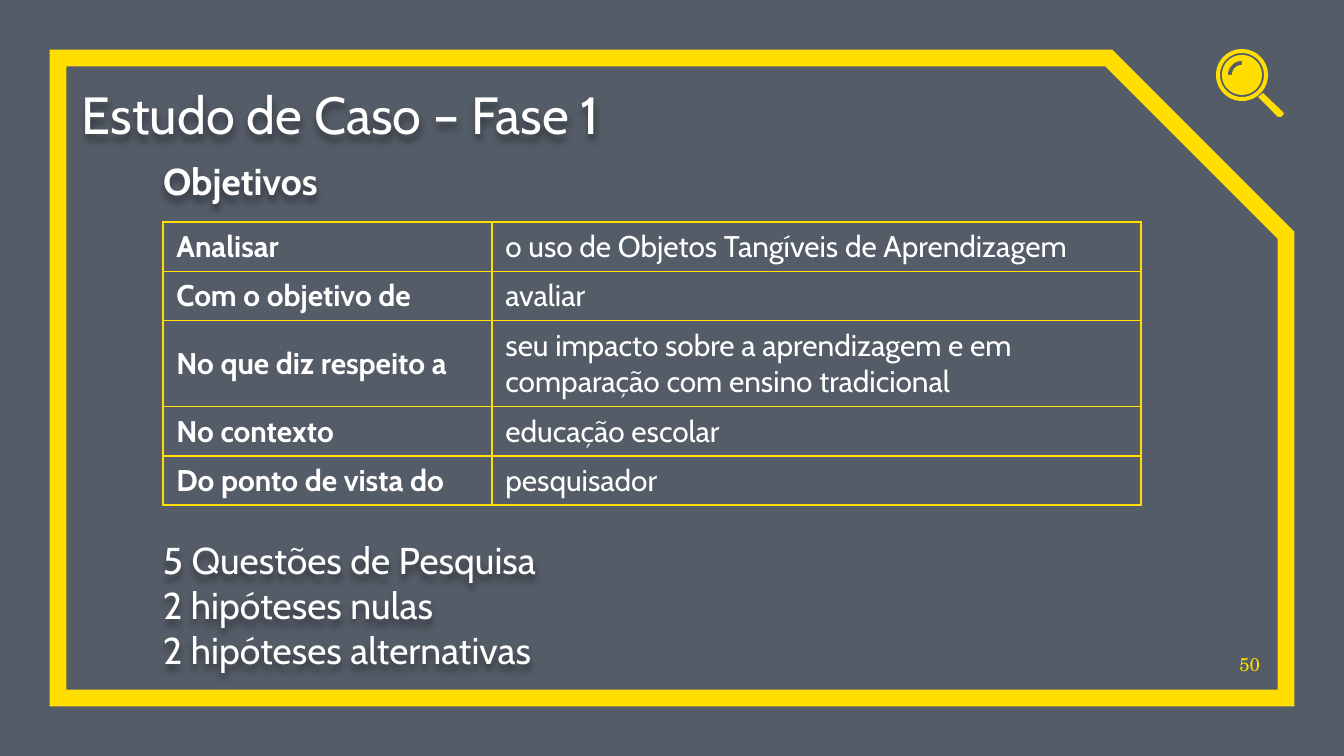
from math import cos, radians, sin

from lxml.etree import SubElement
from pptx import Presentation
from pptx.dml.color import RGBColor
from pptx.enum.shapes import MSO_SHAPE
from pptx.enum.text import MSO_ANCHOR, PP_ALIGN
from pptx.oxml import parse_xml
from pptx.oxml.ns import nsdecls, qn
from pptx.util import Pt

PX = 914400 / 134.4
YELLOW, WHITE, NAVY = "FFDE00", "FFFFFF", "040F20"
BODY = {"name": "Cabin", "size": Pt(20), "bold": False}
TITLE = {**BODY, "size": Pt(28)}
HEADING = {**BODY, "bold": True}
CELL = {**BODY, "size": Pt(16)}
NUMBER = {"name": "TeX Gyre Schola", "size": Pt(10)}
SHADOW = (
    f'<a:effectLst {nsdecls("a")}><a:outerShdw blurRad="50800" dist="38100" '
    'dir="5400000" algn="t" rotWithShape="0"><a:srgbClr val="000000">'
    '<a:alpha val="40000"/></a:srgbClr></a:outerShdw></a:effectLst>'
)
GOALS = [
    ("Analisar", "o uso de Objetos Tangíveis de Aprendizagem"),
    ("Com o objetivo de", "avaliar"),
    ("No que diz respeito a",
     "seu impacto sobre a aprendizagem e em comparação com ensino tradicional"),
    ("No contexto", "educação escolar"),
    ("Do ponto de vista do", "pesquisador"),
]
FINDINGS = ["5 Questões de Pesquisa", "2 hipóteses nulas", "2 hipóteses alternativas"]


def px(*values):
    return [round(v * PX) for v in values]


def rgb(color):
    return RGBColor.from_string(color)


def arc(cx, cy, radius, start=0, end=360, step=6):
    angles = [radians(a) for a in range(start, end + (step if end > start else -step),
                                        step if end > start else -step)]
    return [(cx + radius * cos(a), cy + radius * sin(a)) for a in angles]


class Deck:
    """Holds the style and the current slide, with a method per kind of element."""

    def __init__(self, width, height):
        self.prs = Presentation()
        self.prs.slide_width, self.prs.slide_height = px(width, height)
        self.s = self.prs.slides.add_slide(self.prs.slide_layouts[6])

    def style(self, p, text, fmt, color):
        r = p.add_run()
        r.text = text
        for key, value in fmt.items():
            setattr(r.font, key, value)
        r.font.color.rgb = rgb(color)

    def shape(self, kind, box):
        sp = self.s.shapes.add_shape(kind, *px(*box))
        sp.shadow.inherit = False
        return sp

    def overlay(self, box, color, alpha):
        sp = self.shape(MSO_SHAPE.RECTANGLE, box)
        sp.fill.solid()
        sp.fill.fore_color.rgb = rgb(color)
        clr = sp.fill._xPr.find(".//" + qn("a:srgbClr"))
        SubElement(clr, qn("a:alpha"), val=str(alpha * 1000))
        sp.line.fill.background()

    def frame(self, box, snip, color, width):
        sp = self.shape(MSO_SHAPE.SNIP_1_RECTANGLE, box)
        sp.adjustments[0] = snip
        sp.fill.background()
        sp.line.color.rgb = rgb(color)
        sp.line.width = Pt(width)
        SubElement(sp.line._ln, qn("a:miter"), lim="800000")

    def text(self, box, lines, fmt, color=WHITE, align=PP_ALIGN.LEFT, shadow=True):
        sp = self.s.shapes.add_textbox(*px(*box))
        tf = sp.text_frame
        layout = {"word_wrap": True, "vertical_anchor": MSO_ANCHOR.BOTTOM,
                  "margin_left": 0, "margin_right": 0,
                  "margin_top": 0, "margin_bottom": 0}
        for key, value in layout.items():
            setattr(tf, key, value)
        for i, line in enumerate(lines):
            p = tf.add_paragraph() if i else tf.paragraphs[0]
            p.alignment = align
            self.style(p, line, fmt, color)
        if shadow:
            sp._element.spPr.append(parse_xml(SHADOW))

    def icon(self, parts, color):
        group = self.s.shapes.add_group_shape()
        for contours in parts:
            first, *rest = [[(x * 100, y * 100) for x, y in c] for c in contours]
            fb = group.shapes.build_freeform(*first[0], scale=PX / 100)
            fb.add_line_segments(first[1:], close=True)
            for contour in rest:
                fb.move_to(*contour[0])
                fb.add_line_segments(contour[1:], close=True)
            sp = fb.convert_to_shape()
            sp.shadow.inherit = False
            sp.fill.solid()
            sp.fill.fore_color.rgb = rgb(color)
            sp.line.fill.background()

    def border(self, cell, color):
        for side in ("lnL", "lnR", "lnT", "lnB"):
            ln = SubElement(cell._tc.get_or_add_tcPr(), qn(f"a:{side}"), w=str(Pt(1)))
            fill = SubElement(ln, qn("a:solidFill"))
            SubElement(fill, qn("a:srgbClr"), val=color)

    def table(self, left, top, widths, heights, rows):
        box = px(left, top, sum(widths), sum(heights))
        table = self.s.shapes.add_table(len(rows), len(widths), *box).table
        table.first_row = table.horz_banding = False
        for col, width in zip(table.columns, px(*widths)):
            col.width = width
        for row, height, texts in zip(table.rows, px(*heights), rows):
            row.height = height
            for i, (cell, text) in enumerate(zip(row.cells, texts)):
                self.border(cell, YELLOW)
                cell.fill.background()
                cell.vertical_anchor = MSO_ANCHOR.MIDDLE
                self.style(cell.text_frame.paragraphs[0], text,
                           {**CELL, "bold": i == 0}, WHITE)


def main():
    deck = Deck(1344, 756)
    deck.overlay((0, 0, 1344, 756), NAVY, 68)
    deck.frame((58, 58, 1228, 640), 0.277, YELLOW, 9)
    deck.text((1224, 637, 36, 38), ["50"], NUMBER, YELLOW, PP_ALIGN.RIGHT, False)
    deck.text((82, 74, 988, 71), ["Estudo de Caso – Fase 1"], TITLE)

    center = (1242, 75)
    ring = [arc(*center, 26), arc(*center, 22)]
    glint = arc(*center, 14, 180, 270) + arc(*center, 10, 270, 180)
    lens = [arc(*center, 20), glint]
    handle = [[(1263, 93), (1258, 97), (1278, 117), (1281, 117), (1284, 114), (1283, 112)]]
    deck.icon([ring, lens, handle], YELLOW)

    deck.table(163, 222, (329, 649), (49, 49, 86, 49, 49), GOALS)
    deck.text((163, 157, 333, 46), ["Objetivos"], HEADING)
    deck.text((163, 530, 530, 142), FINDINGS, BODY)
    deck.prs.save("out.pptx")


if __name__ == "__main__":
    main()
